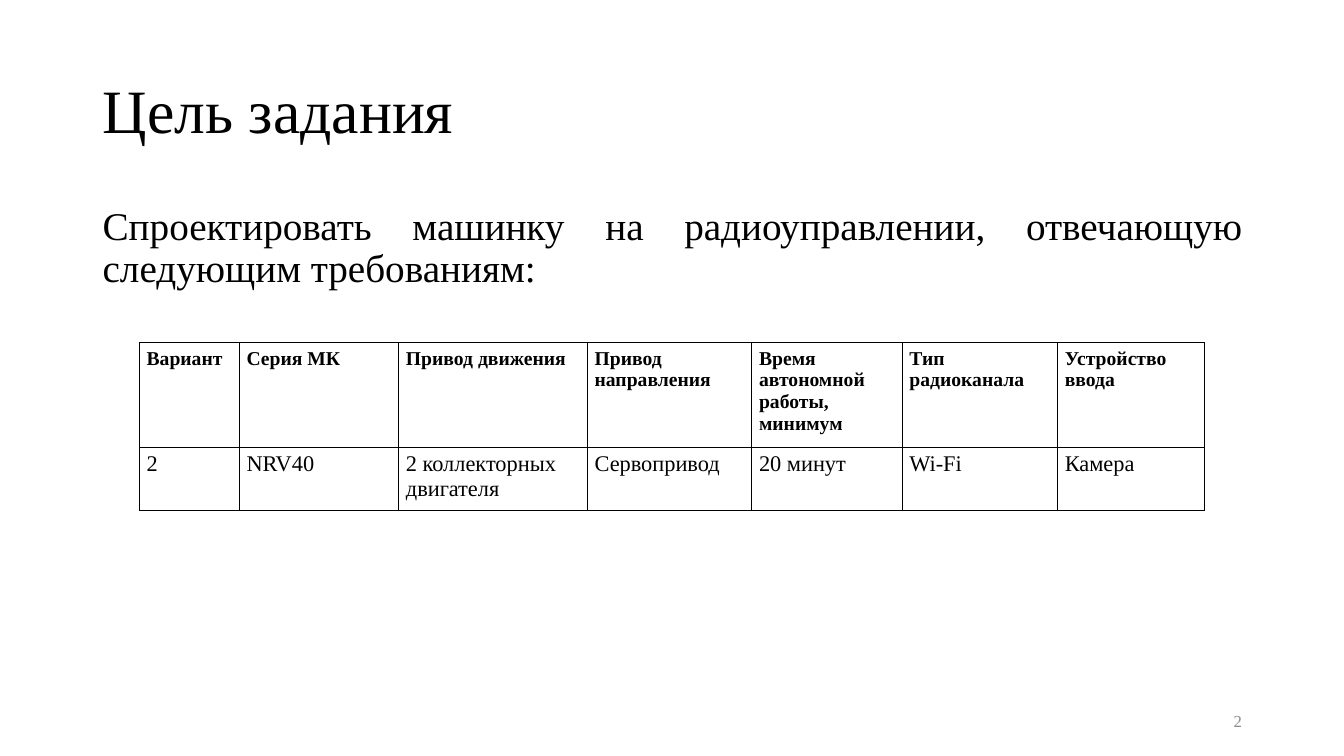
from lxml import etree
from pptx import Presentation
from pptx import util as u
from pptx.dml.color import RGBColor
from pptx.enum import text
from pptx.oxml import ns

BLACK = RGBColor(0, 0, 0)
GRAY = RGBColor(0x8C, 0x8C, 0x8C)
BORDER_SIDES = ("a:lnL", "a:lnR", "a:lnT", "a:lnB")

REQUIREMENTS = [
    ("Вариант", "2"),
    ("Серия МК", "NRV40"),
    ("Привод движения", "2 коллекторных двигателя"),
    ("Привод направления", "Сервопривод"),
    ("Время автономной работы, минимум", "20 минут"),
    ("Тип радиоканала", "Wi-Fi"),
    ("Устройство ввода", "Камера"),
]
COLUMN_WEIGHTS = [99, 158, 187, 163, 149, 154, 146]


def write(frame, words, size, color=BLACK, bold=False, align=text.PP_ALIGN.LEFT,
          line_spacing=None, space_before=0):
    paragraph = frame.paragraphs[0]
    paragraph.alignment = align
    paragraph.line_spacing = line_spacing
    paragraph.space_before = u.Pt(space_before)
    run = paragraph.add_run()
    run.text = words
    run.font.name = SlideBuilder.FONT
    run.font.size = u.Pt(size)
    run.font.bold = bold
    run.font.color.rgb = color


class SlideBuilder:
    """Draws on one slide; lengths are percentages of its width and height."""

    FONT = "Times New Roman"

    def __init__(self, deck):
        self.width, self.height = deck.slide_width, deck.slide_height
        self.slide = deck.slides.add_slide(deck.slide_layouts[6])

    def across(self, share):
        return round(self.width * share / 100)

    def down(self, share):
        return round(self.height * share / 100)

    def box(self, left, top, width, height):
        return (self.across(left), self.down(top),
                self.across(width), self.down(height))

    def text(self, words, place, anchor=text.MSO_ANCHOR.MIDDLE, **style):
        frame = self.slide.shapes.add_textbox(*self.box(*place)).text_frame
        frame.word_wrap = True
        frame.vertical_anchor = anchor
        write(frame, words, **style)

    def table(self, rows, place, weights, row_shares, row_styles):
        """Row shares are least heights; rows grow to fit their words."""
        table = self.slide.shapes.add_table(
            len(rows), len(weights), *self.box(*place)).table
        table.first_row = table.horz_banding = False
        for column, weight in zip(table.columns, weights):
            column.width = self.across(place[2] * weight / sum(weights))
        for row, words, share, style in zip(table.rows, rows, row_shares, row_styles):
            row.height = self.down(share)
            for cell, entry in zip(row.cells, words):
                self.cell(cell, entry, style)

    def cell(self, cell, words, style):
        cell.margin_left = cell.margin_right = u.Pt(5.4)
        cell.margin_top = cell.margin_bottom = u.Inches(0.05)
        write(cell.text_frame, words, **style)
        properties = cell._tc.get_or_add_tcPr()
        for side in BORDER_SIDES:
            line = etree.SubElement(properties, ns.qn(side), w=str(u.Pt(0.5)))
            fill = etree.SubElement(line, ns.qn("a:solidFill"))
            etree.SubElement(fill, ns.qn("a:srgbClr"), val=str(BLACK))
        cell.fill.background()


def main():
    deck = Presentation()
    deck.slide_width, deck.slide_height = u.Inches(13.33), u.Inches(7.5)
    goal = SlideBuilder(deck)
    goal.text("Цель задания", (6.9, 5.33, 86.25, 19.33), size=44, line_spacing=0.9)
    goal.text("Спроектировать машинку на радиоуправлении, отвечающую "
              "следующим требованиям:", (6.9, 26.67, 86.25, 59.6),
              anchor=text.MSO_ANCHOR.TOP, size=28, line_spacing=0.9,
              space_before=10, align=text.PP_ALIGN.JUSTIFY)
    goal.table(list(zip(*REQUIREMENTS)), (10.35, 45.33, 79.29, 20.76),
               COLUMN_WEIGHTS, row_shares=(0, 7.47),
               row_styles=({"size": 14, "bold": True}, {"size": 16}))
    goal.text("2", (70.65, 92.67, 22.5, 5.33), size=12, color=GRAY,
              align=text.PP_ALIGN.RIGHT)
    deck.save("out.pptx")


if __name__ == "__main__":
    main()
